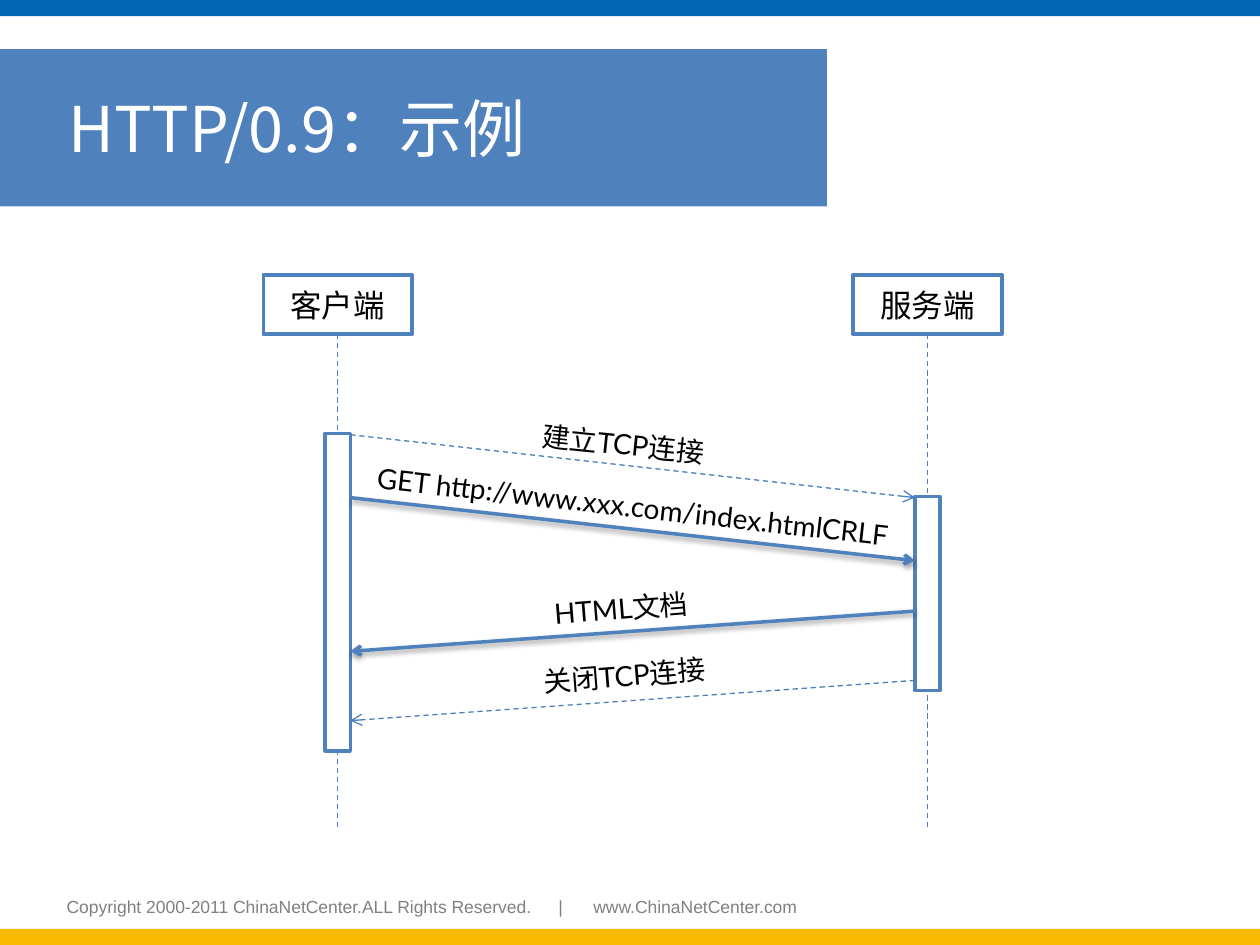
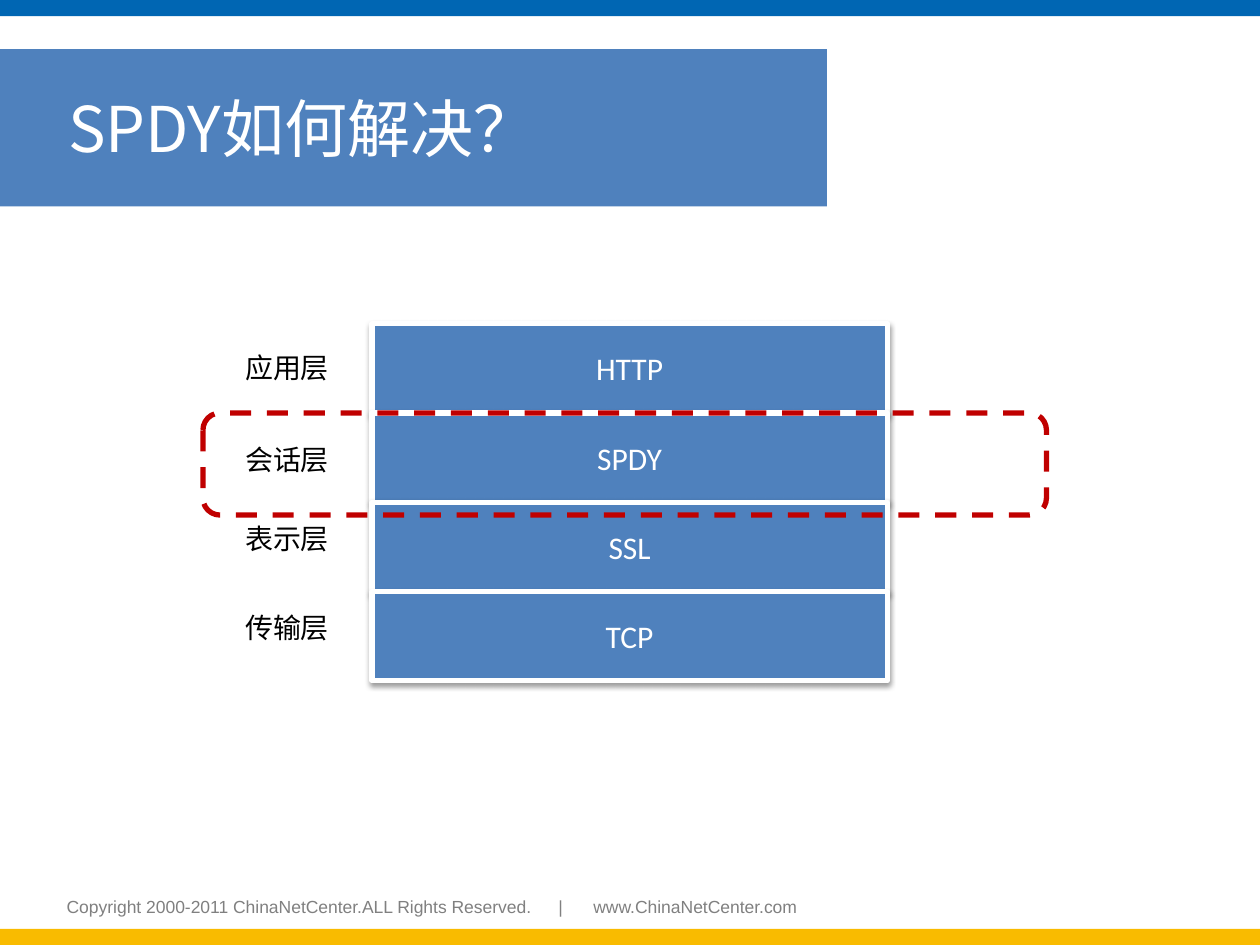
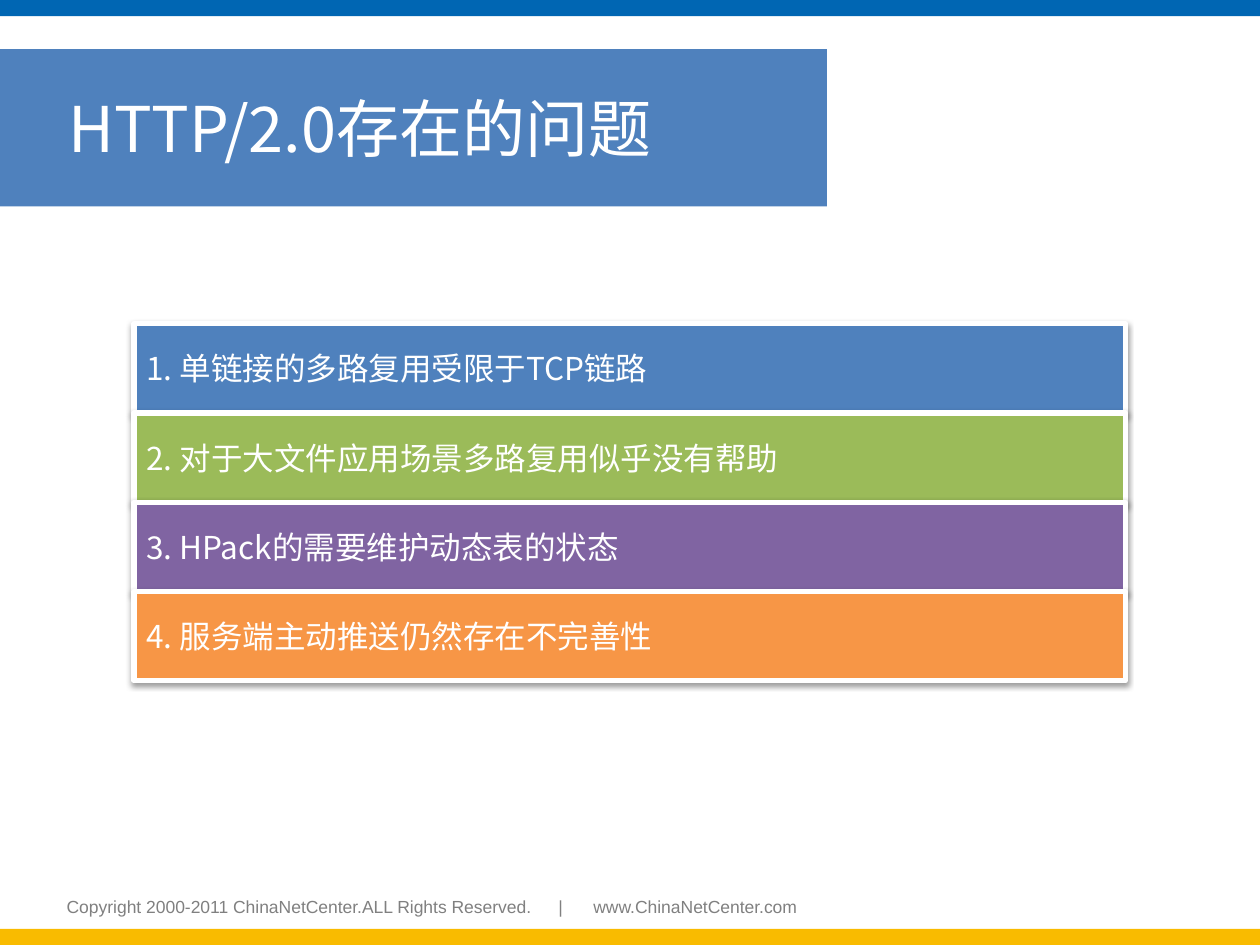
import pptx
import pptx.util
import pptx.dml.color
import pptx.enum.dml
import pptx.enum.shapes
import pptx.enum.text
import pptx.oxml.ns
from lxml import etree

Pt = pptx.util.Pt
SHAPE = pptx.enum.shapes.MSO_SHAPE
ALIGN = pptx.enum.text.PP_ALIGN
ANCHOR = pptx.enum.text.MSO_ANCHOR
DASH = pptx.enum.dml.MSO_LINE.DASH
qn = pptx.oxml.ns.qn

COLORS = {
    "top": "0066B3", "bottom": "F9BB00", "blue": "4F81BD", "thin": "4B7EBC",
    "green": "9BBB59", "purple": "8064A2", "orange": "F79646", "red": "C00000",
    "white": "FFFFFF", "black": "000000", "gray": "808080",
}
CJK = "Noto Sans CJK SC"
WIDTH, HEIGHT, BAND = 720, 540, 9.2
FOOTER = "Copyright 2000-2011 ChinaNetCenter.ALL Rights Reserved.\t|\twww.ChinaNetCenter.com"
FOOTER_TABS = (281, 301)

# Sequence diagram: name, centre x, activation top, activation height
ACTORS = [("客户端", 193, 247.7, 181.4), ("服务端", 530, 283.7, 111)]
ACTOR_TOP, ACTOR_WIDTH, ACTOR_HEIGHT = 157, 85, 34
LIFELINE_END, BAR_WIDTH = 474, 14.4
# label, from actor, to actor, start y, end y, solid, label centre, label width, angle
MESSAGES = [
    ("建立TCP连接", 0, 1, 248.4, 284.4, False, (370.4, 255.2), 136, 6),
    ("关闭TCP连接", 1, 0, 388.8, 411.8, False, (371.2, 384.8), 136, -4.6),
    ("GET http://www.xxx.com/index.htmlCRLF", 0, 1, 284.4, 320.4, True,
     (378, 291.2), 341, 6.4),
    ("HTML文档", 1, 0, 349.2, 372.2, True, (366.8, 346.7), 114.5, -4.6),
]
LABEL_HEIGHT = 26.6

STACK_TOP, ROW_HEIGHT = 185, 51
# protocol, layer, top of the layer's label
LAYERS = [("HTTP", "应用层", 196.6), ("SPDY", "会话层", 249.1),
          ("SSL", "表示层", 294.5), ("TCP", "传输层", 345.6)]
PROBLEMS = [
    ("1. 单链接的多路复用受限于TCP链路", "blue"),
    ("2. 对于大文件应用场景多路复用似乎没有帮助", "green"),
    ("3. HPack的需要维护动态表的状态", "purple"),
    ("4. 服务端主动推送仍然存在不完善性", "orange"),
]


def rgb(name):
    return pptx.dml.color.RGBColor.from_string(COLORS[name])


def add_shadow(effects):
    shadow = etree.SubElement(effects, qn("a:outerShdw"), blurRad=str(Pt(3.1)),
                              dist=str(Pt(1.6)), dir="5400000", rotWithShape="0")
    color = etree.SubElement(shadow, qn("a:srgbClr"), val=COLORS["black"])
    etree.SubElement(color, qn("a:alpha"), val="38000")


def write(box, text, size, color, font=CJK, align=ALIGN.LEFT, tabs=()):
    frame = box.text_frame
    frame.word_wrap = True
    para = frame.paragraphs[0]
    para.text = text
    para.alignment = align
    properties = para._p.get_or_add_pPr()
    if tabs:
        stops = etree.SubElement(properties, qn("a:tabLst"))
        for position in tabs:
            etree.SubElement(stops, qn("a:tab"), pos=str(Pt(position)), algn="l")
    para.font.size = Pt(size)
    para.font.name = font
    para.font.color.rgb = rgb(color)
    etree.SubElement(properties.find(qn("a:defRPr")), qn("a:ea"), typeface=CJK)


def add_box(page, left, top, width, height, fill=None, line=None, weight=2,
            kind=SHAPE.RECTANGLE, shadow=False):
    box = page.shapes.add_shape(kind, Pt(left), Pt(top), Pt(width), Pt(height))
    if fill:
        box.fill.solid()
        box.fill.fore_color.rgb = rgb(fill)
    else:
        box.fill.background()
    if line:
        box.line.color.rgb = rgb(line)
        box.line.width = Pt(weight)
    else:
        box.line.fill.background()
    box.shadow.inherit = False
    if shadow:
        add_shadow(box._element.spPr.find(qn("a:effectLst")))
    box.text_frame.vertical_anchor = ANCHOR.MIDDLE
    return box


def add_label(page, left, top, width, height, text, size, color, font=CJK, tabs=()):
    box = page.shapes.add_textbox(Pt(left), Pt(top), Pt(width), Pt(height))
    write(box, text, size, color, font, tabs=tabs)
    return box


def add_line(page, start, end, solid=False, arrow=True):
    """Draw a thick shadowed line if solid, otherwise a thin dashed one."""
    line = page.shapes.add_connector(pptx.enum.shapes.MSO_CONNECTOR.STRAIGHT,
                                     *(Pt(value) for value in start + end))
    line.line.color.rgb = rgb("blue" if solid else "thin")
    line.line.width = Pt(2 if solid else 0.75)
    if not solid:
        line.line.dash_style = DASH
    properties = line._element.spPr
    if arrow:
        etree.SubElement(properties.find(qn("a:ln")), qn("a:tailEnd"), type="arrow")
    effects = etree.SubElement(properties, qn("a:effectLst"))
    if solid:
        add_shadow(effects)
    return line


def add_page(deck, title):
    page = deck.slides.add_slide(deck.slide_layouts[6])
    add_box(page, 0, HEIGHT - BAND, WIDTH, BAND, "bottom")
    add_box(page, 0, 0, WIDTH, BAND, "top")
    add_label(page, 31, 508.3, 439, 31.7, FOOTER, 10, "gray", "Arial", FOOTER_TABS)
    banner = add_box(page, 0, 28, 472.5, 90, "blue")
    banner.text_frame.margin_left = Pt(39)
    write(banner, title, 36, "white")
    return page


def add_sequence(page):
    for name, center, _, _ in ACTORS:
        head = add_box(page, center - ACTOR_WIDTH / 2, ACTOR_TOP,
                       ACTOR_WIDTH, ACTOR_HEIGHT, "white", "blue")
        write(head, name, 18, "black", align=ALIGN.CENTER)
        lifeline = add_line(page, (center, ACTOR_TOP + ACTOR_HEIGHT),
                            (center, LIFELINE_END), arrow=False)
        lifeline.begin_connect(head, 2)
    for _, center, top, height in ACTORS:
        add_box(page, center - BAR_WIDTH / 2, top, BAR_WIDTH, height, "white", "blue")
    inner_edges = (ACTORS[0][1] + BAR_WIDTH / 2, ACTORS[1][1] - BAR_WIDTH / 2)
    for text, sender, receiver, start, end, solid, (x, y), width, angle in MESSAGES:
        add_line(page, (inner_edges[sender], start), (inner_edges[receiver], end), solid)
        label = add_label(page, x - width / 2, y - LABEL_HEIGHT / 2, width,
                          LABEL_HEIGHT, text, 16, "black", "Lato")
        label.rotation = angle


def add_stack(page, rows, left, width, kind, font, align):
    for index, (text, fill) in enumerate(rows):
        row = add_box(page, left, STACK_TOP + index * ROW_HEIGHT, width, ROW_HEIGHT,
                      fill, "white", 3, kind, shadow=True)
        write(row, text, 18, "white", font, align)


def main():
    deck = pptx.Presentation()
    deck.slide_width, deck.slide_height = Pt(WIDTH), Pt(HEIGHT)

    add_sequence(add_page(deck, "HTTP/0.9：示例"))

    page = add_page(deck, "SPDY如何解决？")
    add_stack(page, [(protocol, "blue") for protocol, _, _ in LAYERS],
              212.5, 294.5, SHAPE.RECTANGLE, "Calibri", ALIGN.CENTER)
    for _, layer, top in LAYERS:
        add_label(page, 133, top, 73.4, LABEL_HEIGHT, layer, 16, "black")
    highlight = add_box(page, 116, 236, 482, 58.3, None, "red", 3,
                        SHAPE.ROUNDED_RECTANGLE)
    highlight.line.dash_style = DASH

    page = add_page(deck, "HTTP/2.0存在的问题")
    add_stack(page, PROBLEMS, 76.5, 566.5, SHAPE.FLOWCHART_PROCESS, CJK, ALIGN.LEFT)

    deck.save("out.pptx")


if __name__ == "__main__":
    main()
